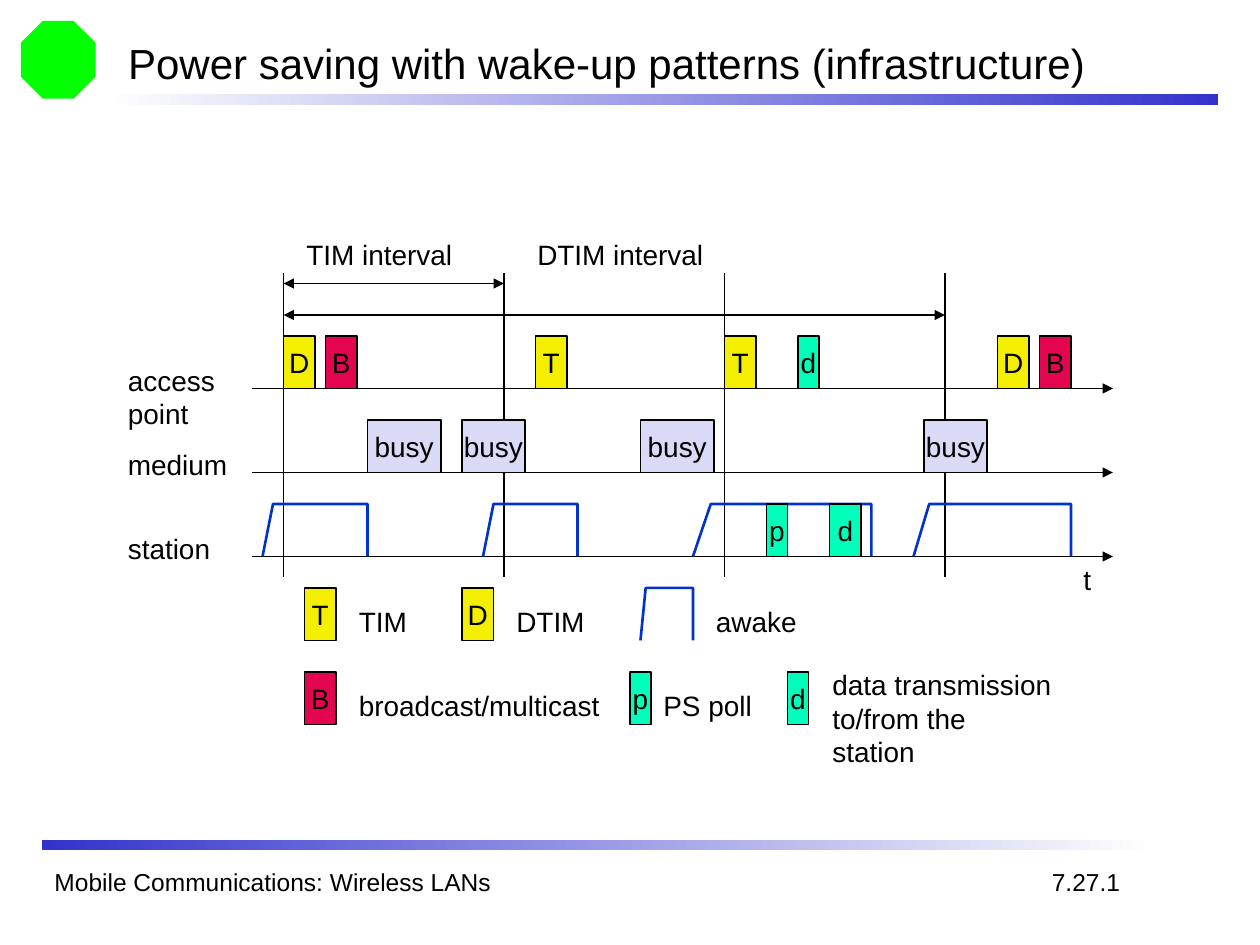
import pptx
import pptx.util
import pptx.dml.color
import pptx.enum.shapes
import pptx.enum.text
import pptx.oxml
import pptx.oxml.ns

SHAPE = pptx.enum.shapes.MSO_SHAPE
FIT = pptx.enum.text.MSO_AUTO_SIZE
ALIGN = pptx.enum.text.PP_ALIGN
MID = pptx.enum.text.MSO_ANCHOR.MIDDLE

# Grid of 120 columns by 90 rows, with square cells
WIDE, HIGH = pptx.util.Inches(10), pptx.util.Inches(7.5)
CELL = WIDE // 120

BLACK, WHITE, BLUE, GREEN = "000000", "FFFFFF", "3333CC", "00FF00"
AWAKE = "0033CC"
FILLS = {"D": "F4EE00", "T": "F4EE00", "B": "E3054F",
         "p": "01FFBC", "d": "01FFBC", "busy": "DADAF6"}
TALL = 5  # rows in a frame or an awake pulse


def grid(*cells):
    return [round(c * CELL) for c in cells]


def color(code):
    return pptx.dml.color.RGBColor.from_string(code)


def write(frame, text, size=16, align=ALIGN.LEFT, wrap=False, fit=FIT.NONE,
          anchor=None):
    frame.text = text
    frame.word_wrap = wrap
    frame.auto_size = fit
    if anchor is not None:
        frame.vertical_anchor = anchor
    for para in frame.paragraphs:
        para.alignment = align
        font = para.font
        font.name, font.size = "Arial", pptx.util.Pt(size)
        font.color.rgb = color(BLACK)


def label(slide, x, y, w, text, h=4.4, **form):
    box = slide.shapes.add_textbox(*grid(x, y, w, h))
    write(box.text_frame, text, **{"fit": FIT.SHAPE_TO_FIT_TEXT, **form})


def block(slide, x, y, w, h, kind=SHAPE.RECTANGLE):
    shape = slide.shapes.add_shape(kind, *grid(x, y, w, h))
    shape.shadow.inherit = False
    shape.line.fill.background()
    return shape


def frame(slide, x, y, text, w=3):
    shape = block(slide, x, y, w, TALL)
    shape.fill.solid()
    shape.fill.fore_color.rgb = color(FILLS[text])
    shape.line.color.rgb = color(BLACK)
    shape.line.width = pptx.util.Pt(0.75)
    write(shape.text_frame, text, align=ALIGN.CENTER, anchor=MID)


def fade(slide, x, y, w, h, start, end):
    shape = block(slide, x, y, w, h)
    shape.fill.gradient()
    shape.fill.gradient_angle = 0
    for stop, code in zip(shape.fill.gradient_stops, (start, end)):
        stop.color.rgb = color(code)


def line(slide, x1, y1, x2, y2, ends=()):
    link = slide.shapes.add_connector(
        pptx.enum.shapes.MSO_CONNECTOR.STRAIGHT, *grid(x1, y1, x2, y2))
    link.line.color.rgb = color(BLACK)
    link.line.width = pptx.util.Pt(0.75)
    props = link._element.spPr
    stroke = props.find(pptx.oxml.ns.qn("a:ln"))
    for end in ends:
        tip = pptx.oxml.parse_xml(
            f'<a:{end} {pptx.oxml.ns.nsdecls("a")} type="triangle"/>')
        stroke.append(tip)
    props.append(pptx.oxml.parse_xml(
        f'<a:effectLst {pptx.oxml.ns.nsdecls("a")}/>'))


def pulse(slide, x, base, w, slant):
    top = base - TALL
    build = slide.shapes.build_freeform(*grid(x, base), scale=1.0)
    build.add_line_segments(
        [grid(x + slant, top), grid(x + w, top), grid(x + w, base)],
        close=False)
    shape = build.convert_to_shape()
    shape.shadow.inherit = False
    shape.fill.background()
    shape.line.color.rgb = color(AWAKE)
    shape.line.width = pptx.util.Pt(1.5)


def header(slide, box):
    x, y, w, h = box
    # Plain emblem
    mark = block(slide, x, y, 7.1, 7.4, SHAPE.OCTAGON)
    mark.fill.solid()
    mark.fill.fore_color.rgb = color(GREEN)
    fade(slide, x + 8, y + h - 1, w - 8, 1, WHITE, BLUE)
    # Title
    title = slide.shapes.title
    title.left, title.top, title.width, title.height = grid(
        x + 9, y + 1, w - 12, 6)
    write(title.text_frame,
          "Power saving with wake-up patterns (infrastructure)",
          size=24, wrap=True, anchor=MID)


def timing(slide, box):
    x, y, w, h = box
    access, medium, station = [y + row for row in (15, 23, 31)]
    first, step = x + 16, 21
    marks = [first + step * i for i in range(4)]

    # Row names and interval names
    for dx, dy, wide, text in [
            (0, 12, 10.7, "access\npoint"), (0, 20, 11.9, "medium"),
            (0, 28, 10.2, "station"), (17, 0, 16.3, "TIM interval"),
            (39, 0, 18.2, "DTIM interval"), (91, 31, 3.1, "t")]:
        label(slide, x + dx, y + dy, wide, text)

    # Time axes, beacon times and interval arrows
    for base in (access, medium, station):
        line(slide, x + 13, base, x + w, base, ["tailEnd"])
    for mark in marks:
        line(slide, mark, y + 4, mark, y + h)
    for row, last in ((5, marks[1]), (8, marks[3])):
        line(slide, first, y + row, last, y + row, ["headEnd", "tailEnd"])

    # Awake times of the station
    for dx, wide, slant in [(14, 10, 1), (35, 9, 1), (55, 17, 1.7),
                            (76, 15, 1.5)]:
        pulse(slide, x + dx, station, wide, slant)

    # Frames on each axis: offset, name, width
    lanes = [
        (access, [(16, "D", 3), (20, "B", 3), (40, "T", 3), (58, "T", 3),
                  (65, "d", 2), (84, "D", 3), (88, "B", 3)]),
        (medium, [(24, "busy", 7), (33, "busy", 6), (50, "busy", 7),
                  (77, "busy", 6)]),
        (station, [(62, "p", 2), (68, "d", 3)])]
    for base, items in lanes:
        for dx, name, wide in items:
            frame(slide, x + dx, base - TALL, name, wide)


def legend(slide, box):
    x, y, w, h = box
    low = y + h - TALL
    # Keys
    for dx, top, name, wide in [(0, y, "T", 3), (15, y, "D", 3),
                                (0, low, "B", 3), (31, low, "p", 2),
                                (46, low, "d", 2)]:
        frame(slide, x + dx, top, name, wide)
    pulse(slide, x + 32, y + TALL, 5, 0.5)
    # Meanings
    for dx, top, wide, text in [
            (4, y + 1, 7, "TIM"), (19, y + 1, 8.9, "DTIM"),
            (38, y + 1, 10.1, "awake"),
            (4, low + 1, 25.3, "broadcast/multicast"),
            (33, low + 1, 10.8, "PS poll"),
            (49.1, low - 1, 23.6,
             "data transmission\nto/from the station")]:
        label(slide, x + dx, top, wide, text)


def footer(slide, box):
    x, y, w, h = box
    fade(slide, x, y, w, 1, BLUE, WHITE)
    label(slide, x, y + 2, 81, "Mobile Communications: Wireless LANs",
          h=4, size=14, wrap=True, fit=FIT.NONE)
    label(slide, x + 95, y + 2, 8.9, "7.27.1", h=4, size=14)


def main():
    deck = pptx.Presentation()
    deck.slide_width, deck.slide_height = WIDE, HIGH
    slide = deck.slides.add_slide(deck.slide_layouts[5])
    header(slide, (2, 2, 114, 8))
    timing(slide, (11, 22, 95, 33))
    legend(slide, (29, 56, 73, 13))
    footer(slide, (4, 80, 106, 6))
    deck.save("out.pptx")


if __name__ == "__main__":
    main()
